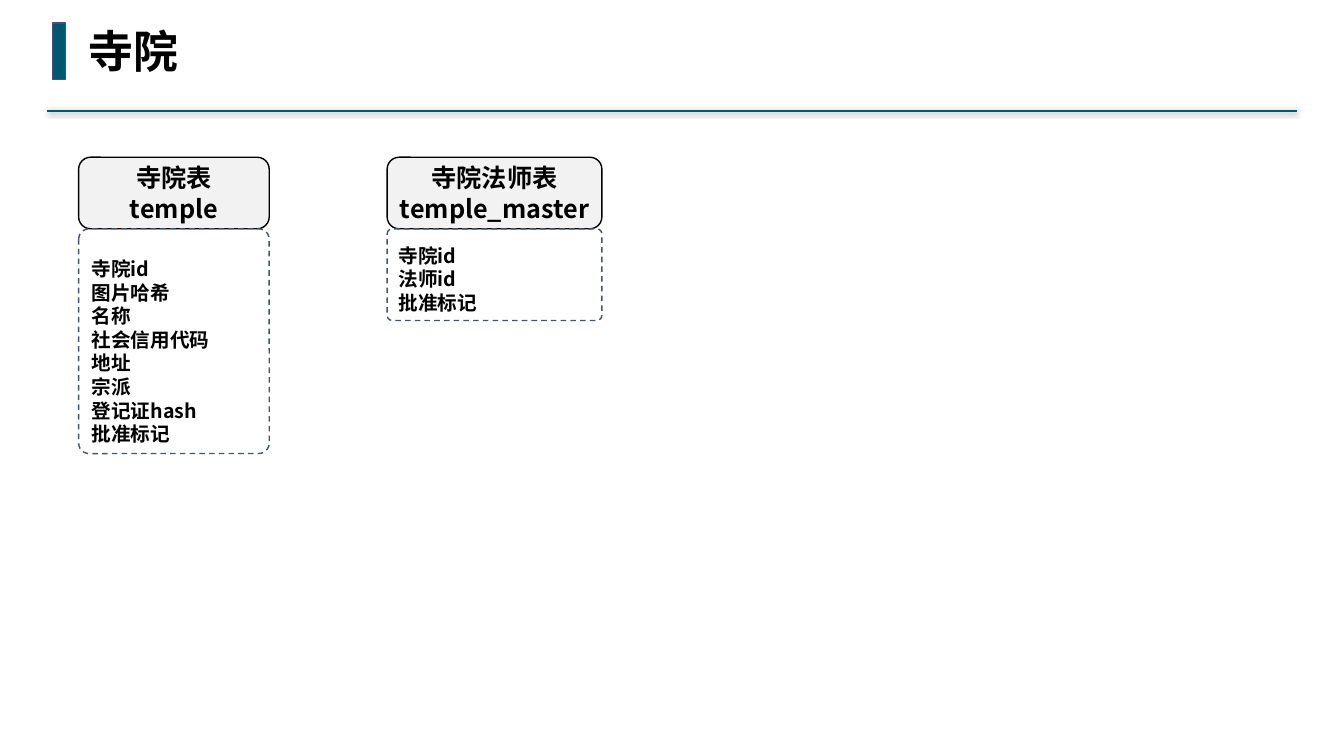
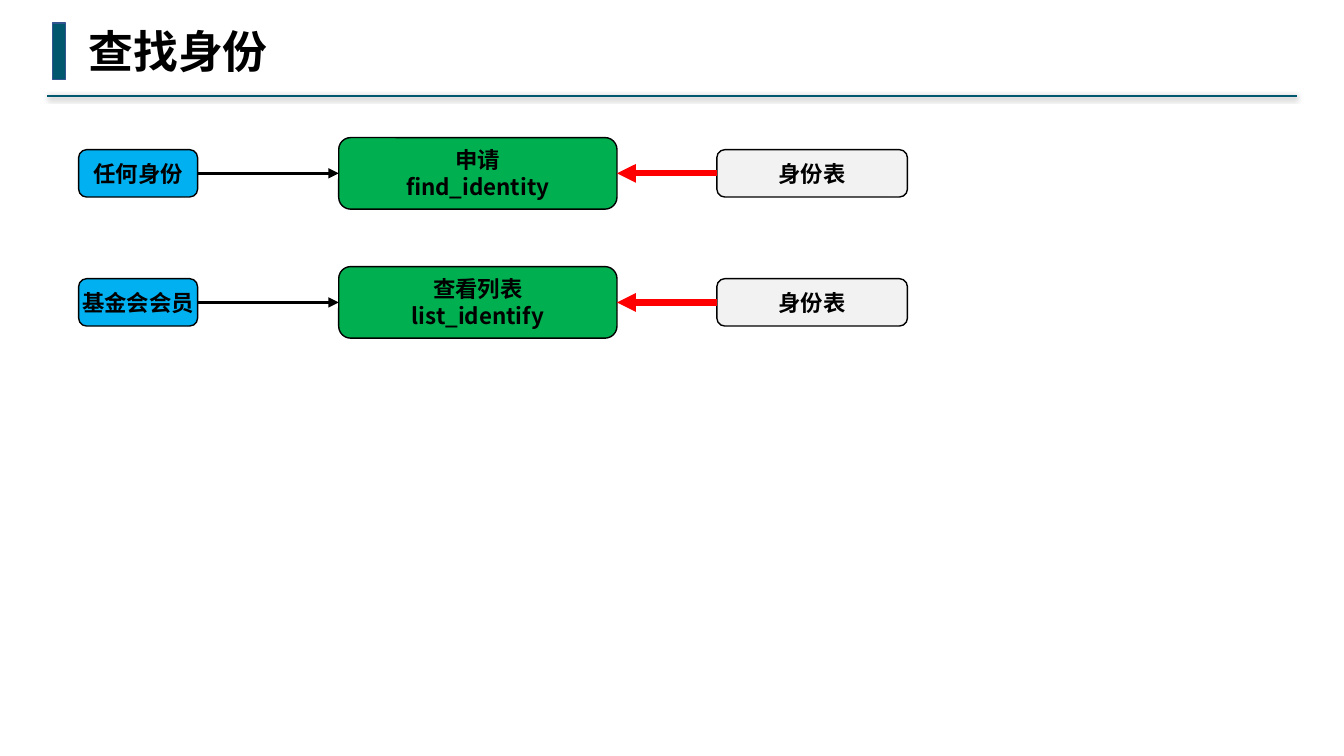
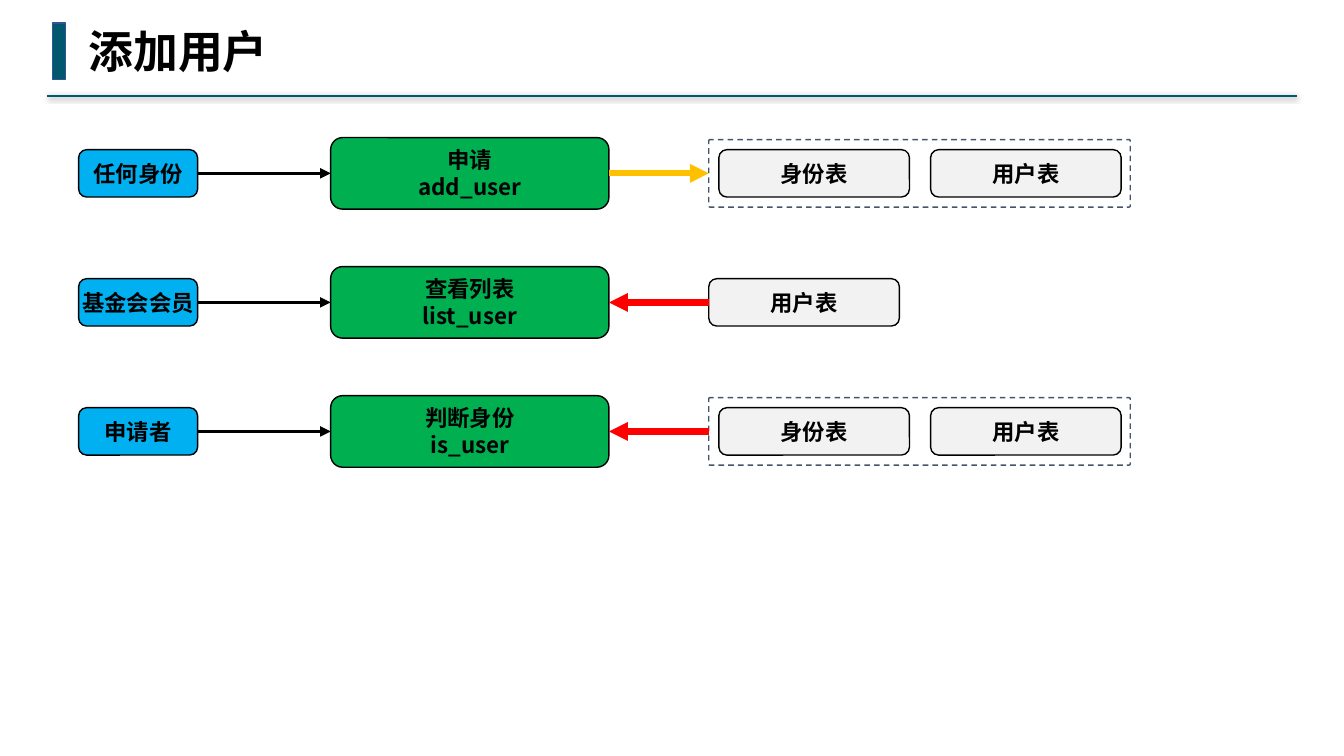
from dataclasses import dataclass
from typing import Optional

from lxml.etree import SubElement
from pptx import Presentation
from pptx.dml.color import RGBColor as RGB
from pptx.enum.dml import MSO_LINE
from pptx.enum.shapes import MSO_CONNECTOR as CONN, MSO_SHAPE as SHAPE
from pptx.enum.text import MSO_ANCHOR as ANCHOR, MSO_AUTO_SIZE as AUTO, PP_ALIGN as ALIGN
from pptx.oxml.ns import qn
from pptx.util import Inches, Pt


@dataclass(frozen=True)
class Theme:
    teal: str = "00576E"
    bar_edge: str = "325491"
    black: str = "000000"
    slate: str = "44546A"
    actor: str = "00B0F0"
    process: str = "00B050"
    store: str = "F2F2F2"
    from_store: str = "FF0000"
    to_store: str = "FFC000"
    title_font: str = "Noto Sans Mono"
    font: str = "Noto Sans CJK SC"
    title: int = 32
    head: int = 18
    label: int = 16
    field: int = 14


T = Theme()
LEFT = 0.78
LABEL_INSET = 0.04

HEAD_TOP, HEAD_H = 1.56, 0.71

ROW_TOP, ROW_PITCH = 1.72, 1.28
ACTOR_W, PROCESS_W, STORE_W = 1.18, 2.76, 1.89
BOX_H, PROCESS_H = 0.47, 0.71
FLOW_GAP = 0.99
FRAME_W, FRAME_H, FRAME_PAD, STORE_PITCH = 4.18, 0.67, 0.1, 2.1

LEFT_SITE, RIGHT_SITE = 1, 3


@dataclass(frozen=True)
class Entity:
    """A database table: its two-line heading and its fields."""
    x: float
    w: float
    h: float
    heading: tuple[str, str]
    fields: tuple[str, ...]


@dataclass(frozen=True)
class Flow:
    """An actor calls a process, which reads or updates some stores."""
    actor: str
    process: tuple[str, str]
    stores: tuple[str, ...]
    updates: bool = False


ENTITIES = (
    Entity(0.78, 1.89, 2.23, ("寺院表", "temple"),
           ("寺院id", "图片哈希", "名称", "社会信用代码", "地址", "宗派", "登记证hash", "批准标记")),
    Entity(3.84, 2.13, 0.91, ("寺院法师表", "temple_master"),
           ("寺院id", "法师id", "批准标记")),
)
FIND_FLOWS = (
    Flow("任何身份", ("申请", "find_identity"), ("身份表",)),
    Flow("基金会会员", ("查看列表", "list_identify"), ("身份表",)),
)
USER_FLOWS = (
    Flow("任何身份", ("申请", "add_user"), ("身份表", "用户表"), updates=True),
    Flow("基金会会员", ("查看列表", "list_user"), ("用户表",)),
    Flow("申请者", ("判断身份", "is_user"), ("身份表", "用户表")),
)


def set_text(tf, lines: tuple[str, ...], size: int, font: str = T.font, align=ALIGN.LEFT) -> None:
    tf.text = "\n".join(lines)
    for p in tf.paragraphs:
        p.alignment = align
        f = p.font
        f.size, f.bold, f.name = Pt(size), True, font
        f.color.rgb = RGB.from_string(T.black)
        SubElement(p._p.pPr.find(qn("a:defRPr")), qn("a:ea"), typeface=font)


def stroke(line, color: str, width: float) -> None:
    line.color.rgb = RGB.from_string(color)
    line.width = Pt(width)


def box(shapes, kind, x: float, y: float, w: float, h: float,
        fill: Optional[str] = None, edge: str = T.black):
    sp = shapes.add_shape(kind, Inches(x), Inches(y), Inches(w), Inches(h))
    sp.shadow.inherit = False
    if fill:
        sp.fill.solid()
        sp.fill.fore_color.rgb = RGB.from_string(fill)
    else:
        sp.fill.background()
    stroke(sp.line, edge, 1)
    return sp


def label_box(shapes, x: float, y: float, w: float, h: float, fill: str,
              lines: tuple[str, ...], size: int = T.label):
    sp = box(shapes, SHAPE.ROUNDED_RECTANGLE, x, y, w, h, fill)
    tf = sp.text_frame
    tf.margin_left = tf.margin_right = tf.margin_top = tf.margin_bottom = Inches(LABEL_INSET)
    tf.word_wrap, tf.vertical_anchor = False, ANCHOR.MIDDLE
    set_text(tf, lines, size, align=ALIGN.CENTER)
    return sp


def dashed_box(shapes, x: float, y: float, w: float, h: float, corner: float):
    sp = box(shapes, SHAPE.ROUNDED_RECTANGLE, x, y, w, h, edge=T.slate)
    sp.adjustments[0] = corner
    sp.line.dash_style = MSO_LINE.DASH
    return sp


def straight(s, x1: float, x2: float, y: float, color: str, width: float):
    """Draw a level line; return it with its empty effect list."""
    c = s.shapes.add_connector(CONN.STRAIGHT, Inches(x1), Inches(y), Inches(x2), Inches(y))
    stroke(c.line, color, width)
    return c, SubElement(c._element.spPr, qn("a:effectLst"))


def arrow(s, source, source_site: int, target, target_site: int, color: str, width: float) -> None:
    c, _ = straight(s, 0, 1, 0, color, width)
    c.begin_connect(source, source_site)
    c.end_connect(target, target_site)
    SubElement(c._element.spPr.find(qn("a:ln")), qn("a:tailEnd"), type="triangle")


def titled_slide(prs, title: str, rule_y: float):
    s = prs.slides.add_slide(prs.slide_layouts[6])
    _, effects = straight(s, 12.86, 0.47, rule_y, T.teal, 1.5)
    shadow = SubElement(effects, qn("a:outerShdw"), blurRad=str(Pt(4)), dist=str(Pt(1)),
                        dir="5400000", rotWithShape="0")
    SubElement(SubElement(shadow, qn("a:srgbClr"), val=T.black), qn("a:alpha"), val="40000")
    box(s.shapes, SHAPE.RECTANGLE, 0.52, 0.23, 0.13, 0.56, T.teal, T.bar_edge)
    width = Pt(T.title) * len(title) + Inches(0.2)
    tf = s.shapes.add_textbox(Inches(LEFT), Inches(0.19), width, Inches(0.64)).text_frame
    tf.word_wrap, tf.auto_size = False, AUTO.SHAPE_TO_FIT_TEXT
    set_text(tf, (title,), T.title, T.title_font)
    return s


def draw_entity(s, e: Entity) -> None:
    label_box(s.shapes, e.x, HEAD_TOP, e.w, HEAD_H, T.store, e.heading, T.head)
    tf = dashed_box(s.shapes, e.x, HEAD_TOP + HEAD_H, e.w, e.h, 0.055).text_frame
    tf.word_wrap, tf.vertical_anchor = True, ANCHOR.BOTTOM
    set_text(tf, e.fields, T.field)


def draw_stores(s, x: float, mid: float, names: tuple[str, ...]):
    """Draw one store, or several in a dashed frame; return the outermost shape."""
    top = mid - BOX_H / 2
    if len(names) == 1:
        return label_box(s.shapes, x, top, STORE_W, BOX_H, T.store, names)
    group = s.shapes.add_group_shape().shapes
    for i, name in enumerate(names):
        label_box(group, x + FRAME_PAD + i * STORE_PITCH, top, STORE_W, BOX_H, T.store, (name,))
    return dashed_box(group, x, mid - FRAME_H / 2, FRAME_W, FRAME_H, 0.019)


def draw_flows(s, flows: tuple[Flow, ...], process_x: float) -> None:
    for i, f in enumerate(flows):
        mid = ROW_TOP + i * ROW_PITCH
        actor = label_box(s.shapes, LEFT, mid - BOX_H / 2, ACTOR_W, BOX_H, T.actor, (f.actor,))
        process = label_box(s.shapes, process_x, mid - PROCESS_H / 2, PROCESS_W, PROCESS_H,
                            T.process, f.process)
        store = draw_stores(s, process_x + PROCESS_W + FLOW_GAP, mid, f.stores)
        arrow(s, actor, RIGHT_SITE, process, LEFT_SITE, T.black, 2.5)
        if f.updates:
            arrow(s, process, RIGHT_SITE, store, LEFT_SITE, T.to_store, 4.5)
        else:
            arrow(s, store, LEFT_SITE, process, RIGHT_SITE, T.from_store, 4.5)


def main() -> None:
    prs = Presentation()
    prs.slide_width, prs.slide_height = Inches(13.33), Inches(7.5)
    s = titled_slide(prs, "寺院", 1.1)
    for e in ENTITIES:
        draw_entity(s, e)
    draw_flows(titled_slide(prs, "查找身份", 0.95), FIND_FLOWS, 3.36)
    draw_flows(titled_slide(prs, "添加用户", 0.95), USER_FLOWS, 3.28)
    prs.save("out.pptx")


if __name__ == "__main__":
    main()
